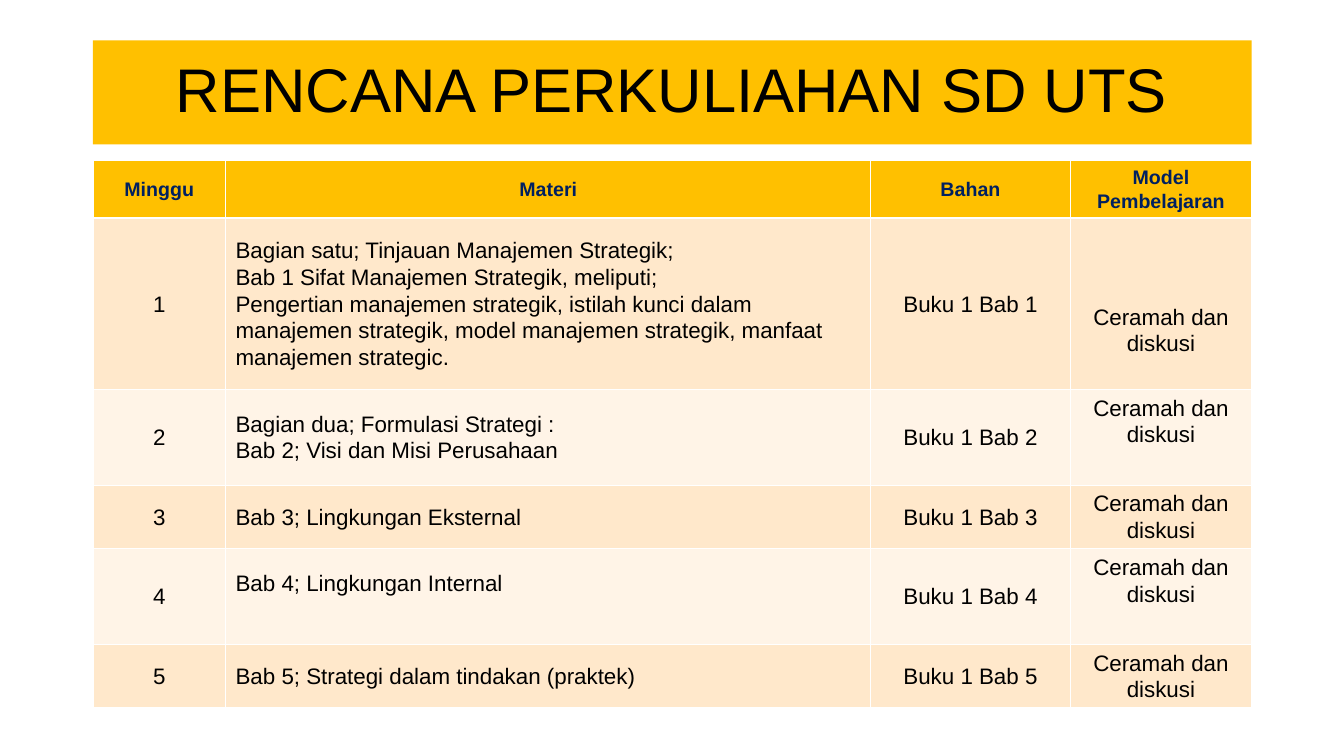
from lxml.etree import SubElement
from pptx import Presentation
from pptx.dml.color import RGBColor
from pptx.enum.text import MSO_ANCHOR as Anchor, MSO_AUTO_SIZE as AutoSize, PP_ALIGN as Align
from pptx.oxml import parse_xml
from pptx.oxml.ns import qn
from pptx.util import Cm, Pt

COLORS = {"gold": "FFC000", "navy": "002060", "black": "000000",
          "white": "FFFFFF", "peach": "FFE8CB", "cream": "FFF4E7"}
DRAWING_NS = "http://schemas.openxmlformats.org/drawingml/2006/main"

LEFT, WIDTH = 2.34, 29.21
TITLE_BOX = (LEFT, 1.02, WIDTH, 2.62)
SCHEDULE_BOX = (LEFT, 4.04, WIDTH, 13.74)
COLUMN_WIDTHS = (3.35, 16.26, 5.03, 4.57)
ROW_HEIGHTS = (1.45, 4.32, 2.41, 1.6, 2.41, 1.6)
CELL_TOP_MARGINS = {(1, 3): 2.15}
CELL_BOTTOM_MARGINS = {(4, 1): 0.79}

HEADINGS = ("Minggu", "Materi", "Bahan", "Model Pembelajaran")
TOPICS = (
    "Bagian satu; Tinjauan Manajemen Strategik;\n"
    "Bab 1 Sifat Manajemen Strategik, meliputi;\n"
    "Pengertian manajemen strategik, istilah kunci dalam manajemen strategik, "
    "model manajemen strategik, manfaat manajemen strategic.",
    "Bagian dua; Formulasi Strategi :\nBab 2; Visi dan Misi Perusahaan",
    "Bab 3; Lingkungan Eksternal",
    "Bab 4; Lingkungan Internal",
    "Bab 5; Strategi dalam tindakan (praktek)",
)


def rgb(name):
    return RGBColor.from_string(COLORS[name])


def write_text(frame, text, size=16, color="black", bold=False,
               align=Align.CENTER, spacing=1.07):
    frame.text = text
    for paragraph in frame.paragraphs:
        paragraph.alignment = align
        paragraph.line_spacing = spacing
        font = paragraph.font
        font.name, font.size, font.bold = "Arial", Pt(size), bold
        font.color.rgb = rgb(color)


def add_cell_borders(cell, widths):
    """Draw white borders; widths holds points for L, R, T and B."""
    properties = cell._tc.get_or_add_tcPr()
    for index, (side, width) in enumerate(widths.items()):
        line = parse_xml(f'<a:ln{side} xmlns:a="{DRAWING_NS}" w="{Pt(width)}"/>')
        fill = SubElement(line, qn("a:solidFill"))
        SubElement(fill, qn("a:srgbClr"), val=COLORS["white"])
        properties.insert(index, line)


def add_title(slide, box):
    title = slide.shapes.title
    title.left, title.top, title.width, title.height = map(Cm, box)
    title.fill.solid()
    title.fill.fore_color.rgb = rgb("gold")
    frame = title.text_frame
    frame.auto_size = AutoSize.NONE
    frame.vertical_anchor = Anchor.MIDDLE
    write_text(frame, "RENCANA PERKULIAHAN SD UTS", size=44, spacing=0.9)


def format_cell(cell, text, row, column):
    is_header = row == 0
    cell.fill.solid()
    cell.fill.fore_color.rgb = rgb("gold" if is_header else "peach" if row % 2 else "cream")
    cell.vertical_anchor = Anchor.TOP if column == 3 else Anchor.MIDDLE
    cell.margin_left = cell.margin_right = Cm(0.25)
    cell.margin_top = Cm(CELL_TOP_MARGINS.get((row, column), 0.13))
    cell.margin_bottom = Cm(CELL_BOTTOM_MARGINS.get((row, column), 0.13))
    if is_header:
        write_text(cell.text_frame, text, size=14, color="navy", bold=True)
    else:
        write_text(cell.text_frame, text, align=Align.LEFT if column == 1 else Align.CENTER)
    add_cell_borders(cell, {"L": 0.45, "R": 0.45,
                            "T": 1.47 if row == 1 else 0.45,
                            "B": 1.47 if is_header else 0.45})


def add_schedule(slide, box):
    weeks = [(str(week), topic, f"Buku 1 Bab {week}", "Ceramah dan diskusi")
             for week, topic in enumerate(TOPICS, start=1)]
    lines = [HEADINGS, *weeks]
    table = slide.shapes.add_table(len(lines), len(HEADINGS), *map(Cm, box)).table
    for column, width in zip(table.columns, COLUMN_WIDTHS):
        column.width = Cm(width)
    for row, height in zip(table.rows, ROW_HEIGHTS):
        row.height = Cm(height)
    for row, line in enumerate(lines):
        for column, text in enumerate(line):
            format_cell(table.cell(row, column), text, row, column)


def main():
    deck = Presentation()
    deck.slide_width, deck.slide_height = Cm(33.88), Cm(19.05)
    slide = deck.slides.add_slide(deck.slide_layouts[5])
    add_title(slide, TITLE_BOX)
    add_schedule(slide, SCHEDULE_BOX)
    deck.save("out.pptx")


if __name__ == "__main__":
    main()
